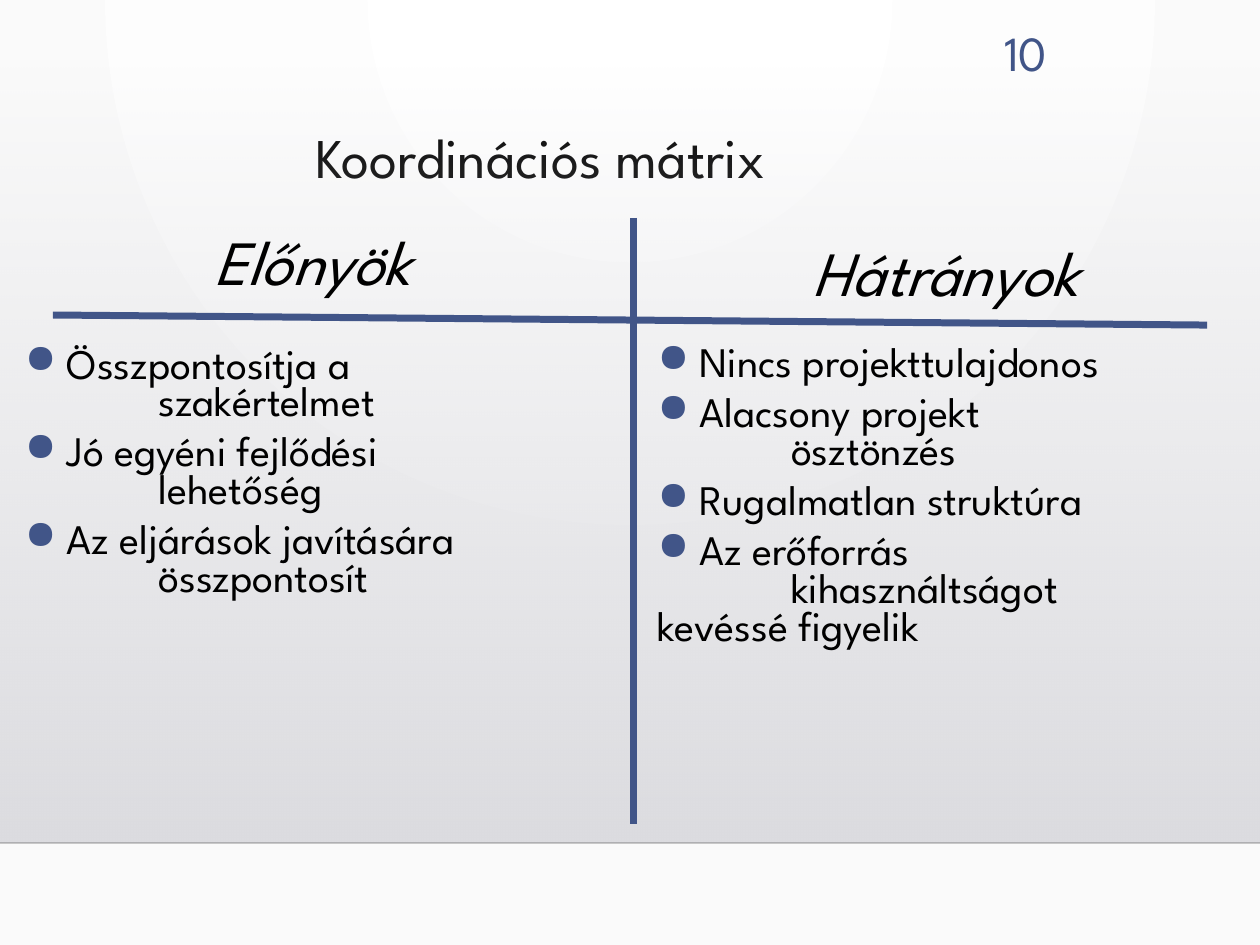
import pptx
import pptx.dml.color
import pptx.enum.shapes
import pptx.enum.text
import pptx.oxml
import pptx.oxml.ns
import pptx.util
from lxml import etree
from pptx.util import Inches

RGB = pptx.dml.color.RGBColor
BLUE = RGB(0x41, 0x55, 0x88)
BLACK = RGB(0, 0, 0)
WHITE = RGB(0xFF, 0xFF, 0xFF)
FONT = "League Spartan"
ALIGN = pptx.enum.text.PP_ALIGN
ANCHOR = pptx.enum.text.MSO_ANCHOR
qn = pptx.oxml.ns.qn
NS = pptx.oxml.ns.nsdecls("a")


def set_gradient(parent, stops, direction):
    """Replace the solid fill of parent; stops are (position %, hex, alpha %)."""
    gs = "".join(
        f'<a:gs pos="{pos * 1000}"><a:srgbClr val="{color}">'
        f'<a:alpha val="{alpha * 1000}"/></a:srgbClr></a:gs>'
        for pos, color, alpha in stops)
    grad = pptx.oxml.parse_xml(
        f'<a:gradFill {NS} rotWithShape="1"><a:gsLst>{gs}</a:gsLst>{direction}</a:gradFill>')
    parent.replace(parent.find(qn("a:solidFill")), grad)


def add_line(s, x1, y1, x2, y2, color, width):
    line = s.shapes.add_connector(
        pptx.enum.shapes.MSO_CONNECTOR.STRAIGHT,
        Inches(x1), Inches(y1), Inches(x2), Inches(y2))
    line.line.color.rgb = color
    line.line.width = pptx.util.Pt(width)
    etree.SubElement(line.element.spPr, qn("a:effectLst"))
    return line


def format_paragraph(p, text, size, color=BLACK, italic=False, **layout):
    p.text = text
    for name, value in layout.items():
        setattr(p, name, value)
    style = {"name": FONT, "size": pptx.util.Pt(size), "italic": italic}
    for r in p.runs:
        for name, value in style.items():
            setattr(r.font, name, value)
        r.font.color.rgb = color


def add_box(s, x, y, w, h, anchor=ANCHOR.TOP):
    box = s.shapes.add_textbox(Inches(x), Inches(y), Inches(w), Inches(h))
    tf = box.text_frame
    tf.word_wrap = True
    tf.vertical_anchor = anchor
    return tf


def add_bullet(p):
    pPr = p._p.get_or_add_pPr()
    for xml in (f'<a:buClr {NS}><a:srgbClr val="{BLUE}"/></a:buClr>',
                f'<a:buSzPct {NS} val="95000"/>',
                f'<a:buChar {NS} char="●"/>',
                f'<a:tabLst {NS}><a:tab pos="{Inches(1.06)}" algn="l"/></a:tabLst>'):
        pPr.append(pptx.oxml.parse_xml(xml))


def draw_backdrop(s):
    s.background.fill.solid()
    s.background.fill.fore_color.rgb = WHITE
    set_gradient(s.element.find(".//" + qn("p:bgPr")),
                 [(0, "FFFFFF", 100), (100, "FAFAFA", 100)],
                 '<a:path path="circle"><a:fillToRect l="43000" t="0" r="43000" b="100000"/></a:path>')
    band = s.shapes.add_shape(pptx.enum.shapes.MSO_SHAPE.RECTANGLE,
                              0, Inches(0.51), Inches(10), Inches(6.18))
    band.shadow.inherit = False
    band.line.fill.background()
    band.fill.solid()
    band.fill.fore_color.rgb = WHITE
    set_gradient(band.element.spPr, [(0, "DCDCE0", 0), (100, "DEDEE2", 100)],
                 '<a:lin ang="5400000" scaled="0"/>')
    edge = add_line(s, 0, 6.69, 10, 6.69, BLACK, 1)
    etree.SubElement(edge.element.find(".//" + qn("a:srgbClr")), qn("a:alpha"), val="20000")


def draw_title(s, x, y, w, h):
    title = s.shapes.title
    title.left, title.top, title.width, title.height = map(Inches, (x, y, w, h))
    title.text_frame.vertical_anchor = ANCHOR.TOP
    format_paragraph(title.text_frame.paragraphs[0], "Koordinációs mátrix", 32,
                     alignment=ALIGN.LEFT, line_spacing=0.9)


def draw_heading(s, text, x, y, w, h):
    format_paragraph(add_box(s, x, y, w, h).paragraphs[0], text, 36, italic=True,
                     alignment=ALIGN.CENTER, line_spacing=0.85)


def draw_list(s, items, x, y, w, h):
    tf = add_box(s, x, y, w, h)
    for i, item in enumerate(items):
        p = tf.add_paragraph() if i else tf.paragraphs[0]
        format_paragraph(p, " " + item, 24, line_spacing=0.75,
                         space_before=pptx.util.Pt(5 if i else 0),
                         space_after=pptx.util.Pt(2))
        add_bullet(p)


def main():
    prs = pptx.Presentation()
    prs.slide_width, prs.slide_height = Inches(10), Inches(7.5)
    s = prs.slides.add_slide(prs.slide_layouts[5])
    draw_backdrop(s)
    format_paragraph(add_box(s, 7.54, 0.14, 0.87, 0.55, ANCHOR.MIDDLE).paragraphs[0],
                     "10", 28, BLUE, alignment=ALIGN.RIGHT)
    draw_title(s, 2.4, 0.98, 7.19, 1.15)
    add_line(s, 0.42, 2.5, 9.58, 2.58, BLUE, 4)
    add_line(s, 5.03, 1.73, 5.03, 6.54, BLUE, 4)
    draw_heading(s, "Előnyök", -0.03, 1.81, 5.02, 0.61)
    draw_heading(s, "Hátrányok", 5.1, 1.9, 4.81, 0.61)
    draw_list(s, ["Összpontosítja a\v\tszakértelmet",
                  "Jó egyéni fejlődési\v\tlehetőség",
                  "Az eljárások javítására\v\tösszpontosít"], 0.1, 2.72, 4.94, 2.14)
    draw_list(s, ["Nincs projekttulajdonos",
                  "Alacsony projekt\v\tösztönzés",
                  "Rugalmatlan struktúra",
                  "Az erőforrás\v\tkihasználtságot\vkevéssé figyelik"], 5.12, 2.71, 4.95, 2.56)
    prs.save("out.pptx")


if __name__ == "__main__":
    main()
